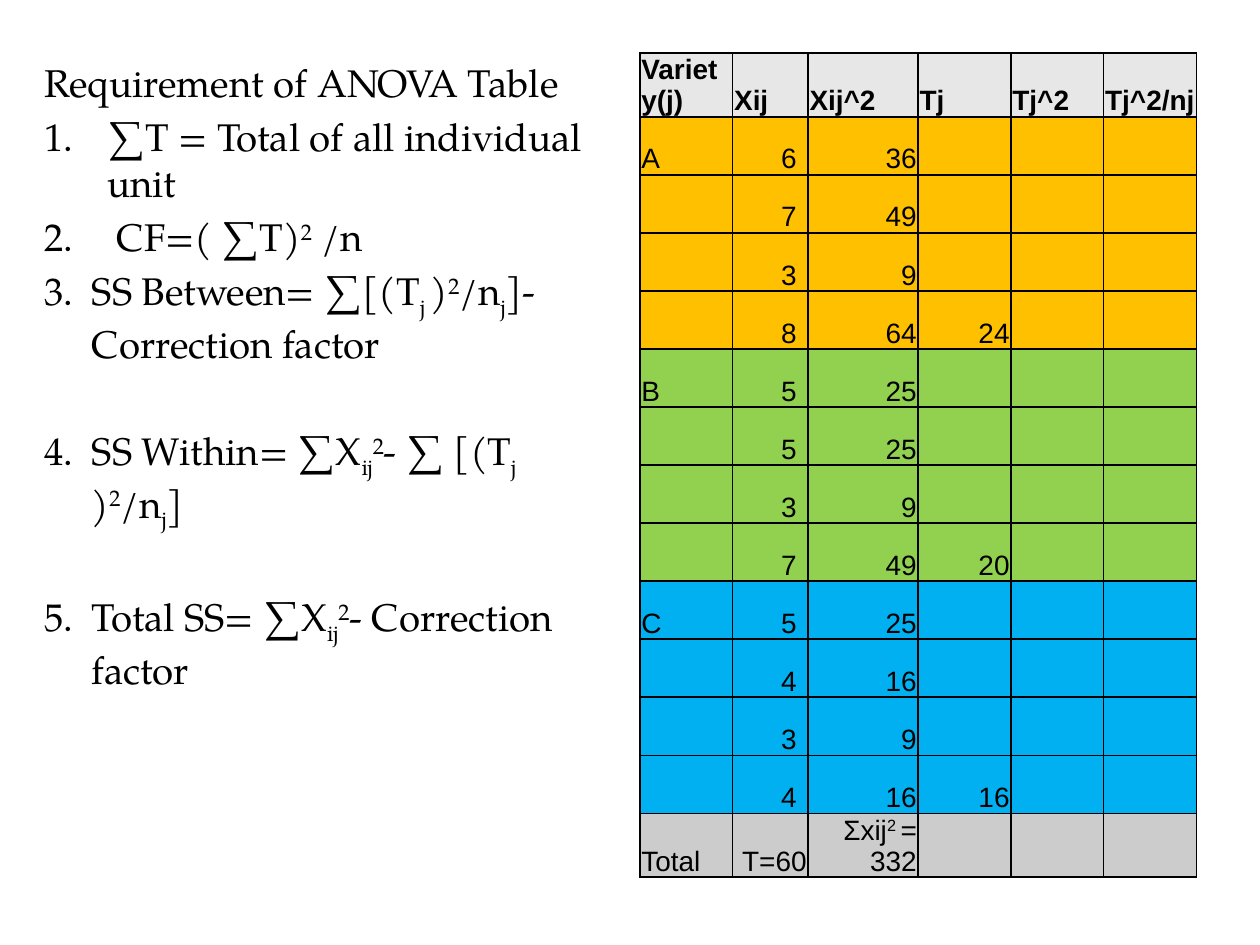
import pptx
import pptx.util
import pptx.dml.color
import pptx.enum.text
from lxml import etree
from pptx.util import Cm, Pt

A = "{http://schemas.openxmlformats.org/drawingml/2006/main}"
COLORS = {"text": "000000", "header": "E7E7E7", "A": "FFC000",
          "B": "92D050", "C": "00B0F0", "total": "CCCCCC"}
BASELINES = {"^": "30000", "_": "-25000"}
LEFT, RIGHT = pptx.enum.text.PP_ALIGN.LEFT, pptx.enum.text.PP_ALIGN.RIGHT


def rgb(name):
    return pptx.dml.color.RGBColor.from_string(COLORS[name])


def write(p, parts, font="Arial", size=16, bold=False, align=LEFT, before=0):
    """Add one run per part; a leading ^ raises the part and _ lowers it."""
    p.alignment = align
    p.space_before = Pt(before)
    for part in parts:
        r = p.add_run()
        r.text = part[1:] if part[0] in BASELINES else part
        r.font.name, r.font.size, r.font.bold = font, Pt(size), bold
        r.font.color.rgb = rgb("text")
        if part[0] in BASELINES:
            r.font._element.set("baseline", BASELINES[part[0]])


prs = pptx.Presentation()
prs.slide_width, prs.slide_height = Cm(25.4), Cm(19.05)
s = prs.slides.add_slide(prs.slide_layouts[1])
title = s.shapes.title
title._element.getparent().remove(title._element)

# Requirements: number (None for the heading), indent in cm, space before, text
requirements = [
    (None, 0.96, 0, ["Requirement of ANOVA Table"]),
    (1, 1.27, 4.4, ["∑T = Total of all individual unit"]),
    (2, 1.27, 4.4, [" CF=( ∑T)", "^2", " /n"]),
    (3, 0.96, 4.4, ["SS Between= ∑[(T", "_j ", ")", "^2", "/n", "_j",
                    "]- Correction factor"]),
    (4, 0.96, 35, ["SS Within= ∑X", "_ij", "^2", "- ∑ [(T", "_j ", ")", "^2",
                   "/n", "_j", "]"]),
    (5, 0.96, 35, ["Total SS= ∑X", "_ij", "^2", "- Correction factor"]),
]
body = s.placeholders[1]
body.left, body.top, body.width, body.height = Cm(0.64), Cm(1.07), Cm(11.86), Cm(15.95)
tf = body.text_frame
tf.word_wrap = True
tf.auto_size = pptx.enum.text.MSO_AUTO_SIZE.NONE
tf.vertical_anchor = pptx.enum.text.MSO_ANCHOR.TOP
for number, indent, before, parts in requirements:
    p = tf.add_paragraph() if number else tf.paragraphs[0]
    pPr = p._p.get_or_add_pPr()
    pPr.set("marL", str(Cm(indent)))
    pPr.set("indent", str(-Cm(indent)))
    if number:
        etree.SubElement(pPr, A + "buFont", typeface="+mj-lt")
        etree.SubElement(pPr, A + "buAutoNum", type="arabicPeriod", startAt=str(number))
    else:
        etree.SubElement(pPr, A + "buNone")
    write(p, parts, font="TeX Gyre Pagella", size=22, before=before)

# Table rows: each variety lists its values, squares and, last, its total
varieties = {"A": [6, 7, 3, 8], "B": [5, 5, 3, 7], "C": [5, 4, 3, 4]}
rows = [("header", [["Variety(j)"], ["Xij"], ["Xij^2"], ["Tj"], ["Tj^2"], ["Tj^2/nj"]])]
for variety, values in varieties.items():
    for i, x in enumerate(values):
        row = [[variety] if i == 0 else [], [str(x)], [str(x * x)]]
        if i == len(values) - 1:
            row.append([str(sum(values))])
        rows.append((variety, row))
rows.append(("total", [["Total"], ["T=60"], ["Σxij", "^2 ", "= 332"]]))

widths = [1.87, 1.52, 2.22, 1.87, 1.87, 1.87]
row_height = 1.17
frame = s.shapes.add_table(len(rows), len(widths), Cm(12.9), Cm(1.07),
                           Cm(sum(widths)), Cm(row_height * len(rows)))
table = frame.table
for column, width in zip(table.columns, widths):
    column.width = Cm(width)
for i, (kind, row) in enumerate(rows):
    table.rows[i].height = Cm(row_height)
    for j in range(len(widths)):
        cell = table.cell(i, j)
        cell.vertical_anchor = pptx.enum.text.MSO_ANCHOR.BOTTOM
        cell.margin_left = cell.margin_top = cell.margin_right = Cm(0.03)
        cell.margin_bottom = 0
        if j == 1 and kind in varieties:
            cell.margin_right = Cm(0.23)
        tcPr = cell._tc.get_or_add_tcPr()
        for side in ("lnL", "lnR", "lnT", "lnB"):
            line = etree.SubElement(tcPr, A + side, w=str(Pt(1)))
            fill = etree.SubElement(line, A + "solidFill")
            etree.SubElement(fill, A + "srgbClr", val=COLORS["text"])
        cell.fill.solid()
        cell.fill.fore_color.rgb = rgb(kind)
        write(cell.text_frame.paragraphs[0], row[j] if j < len(row) else [],
              bold=kind == "header",
              align=LEFT if kind == "header" or j == 0 else RIGHT)

prs.save("out.pptx")
